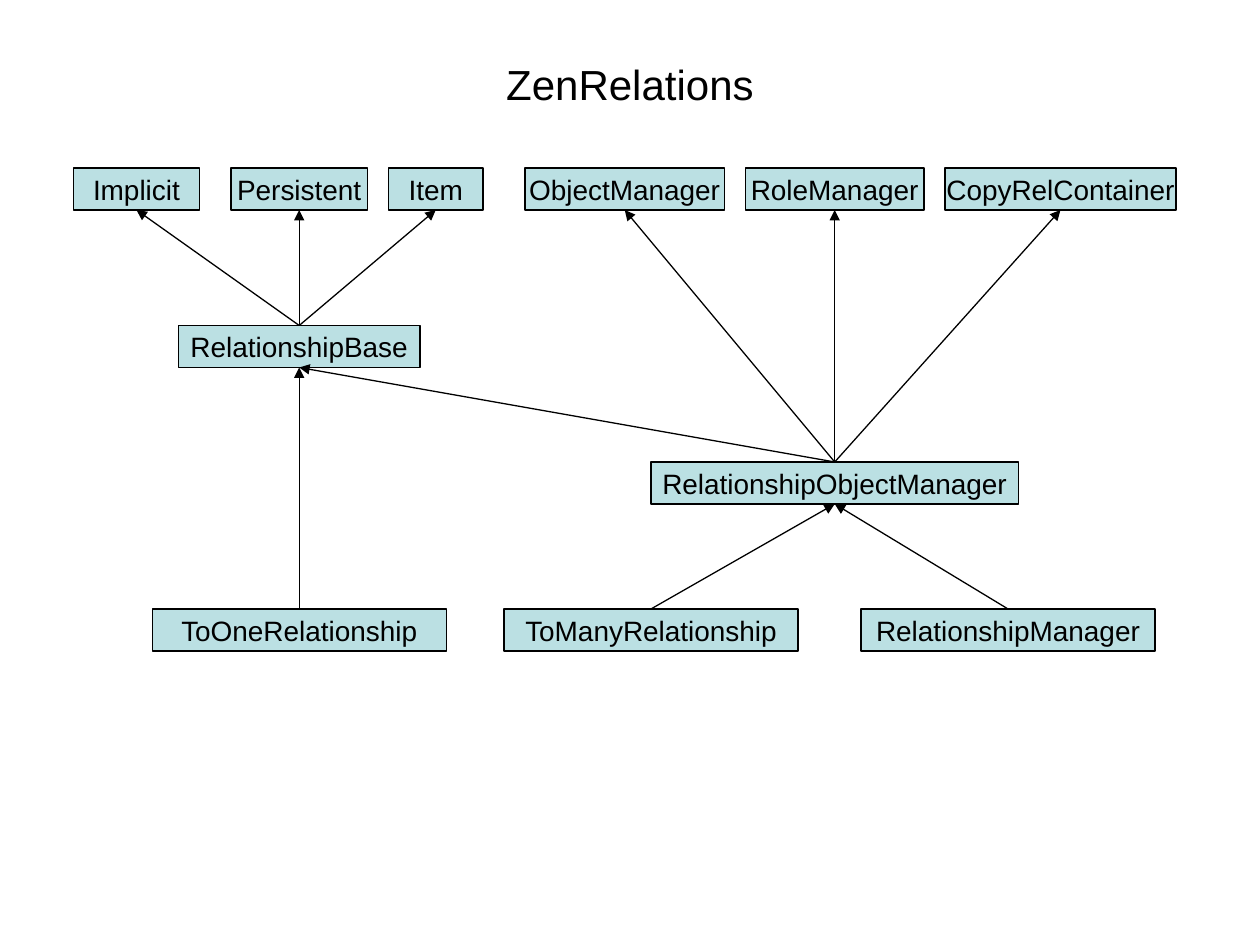
from lxml.etree import SubElement
from pptx import Presentation
from pptx.dml.color import RGBColor
from pptx.enum.shapes import MSO_CONNECTOR, MSO_SHAPE
from pptx.enum.text import MSO_ANCHOR, PP_ALIGN
from pptx.oxml.ns import qn
from pptx.util import Pt

PX = 7620  # EMU per px, 120 px to the inch
BOX_HEIGHT = 40
TOP, BOTTOM = 0, 2  # connection sites of a rectangle
BLACK, PALE_TEAL = "000000", "BBE0E3"

TITLE = ("ZenRelations", (90, 50, 1020, 60))

# Rows of classes: top, then (name, left, width)
ROWS = [
    (160, [("Implicit", 70, 120), ("Persistent", 220, 130), ("Item", 370, 90),
           ("ObjectManager", 500, 190), ("RoleManager", 710, 170),
           ("CopyRelContainer", 900, 220)]),
    (310, [("RelationshipBase", 170, 230)]),
    (440, [("RelationshipObjectManager", 620, 350)]),
    (580, [("ToOneRelationship", 145, 280), ("ToManyRelationship", 480, 280),
           ("RelationshipManager", 820, 280)]),
]

# Each class and the classes it inherits from
PARENTS = {
    "RelationshipBase": ["Implicit", "Persistent", "Item"],
    "RelationshipObjectManager": ["RelationshipBase", "ObjectManager",
                                  "RoleManager", "CopyRelContainer"],
    "ToOneRelationship": ["RelationshipBase"],
    "ToManyRelationship": ["RelationshipObjectManager"],
    "RelationshipManager": ["RelationshipObjectManager"],
}


def color(value):
    return RGBColor.from_string(value)


def emu(*lengths):
    return [length * PX for length in lengths]


def write(shape, text, size=16, wrap=False, font="Arial", ink=BLACK):
    frame = shape.text_frame
    frame.word_wrap = wrap
    frame.vertical_anchor = MSO_ANCHOR.MIDDLE
    paragraph = frame.paragraphs[0]
    paragraph.alignment = PP_ALIGN.CENTER
    run = paragraph.add_run()
    run.text = text
    run.font.size = Pt(size)
    run.font.name = font
    run.font.color.rgb = color(ink)


def add_class(shapes, name, left, top, width):
    box = shapes.add_shape(MSO_SHAPE.RECTANGLE, *emu(left, top, width, BOX_HEIGHT))
    box.shadow.inherit = False
    box.fill.solid()
    box.fill.fore_color.rgb = color(PALE_TEAL)
    box.line.color.rgb = color(BLACK)
    box.line.width = Pt(0.75)
    write(box, name)
    return box


def add_arrow(shapes, child, parent):
    arrow = shapes.add_connector(MSO_CONNECTOR.STRAIGHT, 0, 0, 0, 0)
    arrow.begin_connect(child, TOP)
    arrow.end_connect(parent, BOTTOM)
    arrow.line.color.rgb = color(BLACK)
    arrow.line.width = Pt(0.75)
    SubElement(arrow.line._get_or_add_ln(), qn("a:tailEnd"), type="triangle")
    SubElement(arrow._element.spPr, qn("a:effectLst"))


def main():
    deck = Presentation()
    deck.slide_width, deck.slide_height = emu(1200, 900)
    shapes = deck.slides.add_slide(deck.slide_layouts[6]).shapes

    # Title
    heading, place = TITLE
    write(shapes.add_textbox(*emu(*place)), heading, size=24, wrap=True)

    # Class boxes
    boxes = {name: add_class(shapes, name, left, top, width)
             for top, row in ROWS for name, left, width in row}

    # Inheritance arrows
    for child, parents in PARENTS.items():
        for parent in parents:
            add_arrow(shapes, boxes[child], boxes[parent])

    deck.save("out.pptx")


if __name__ == "__main__":
    main()
